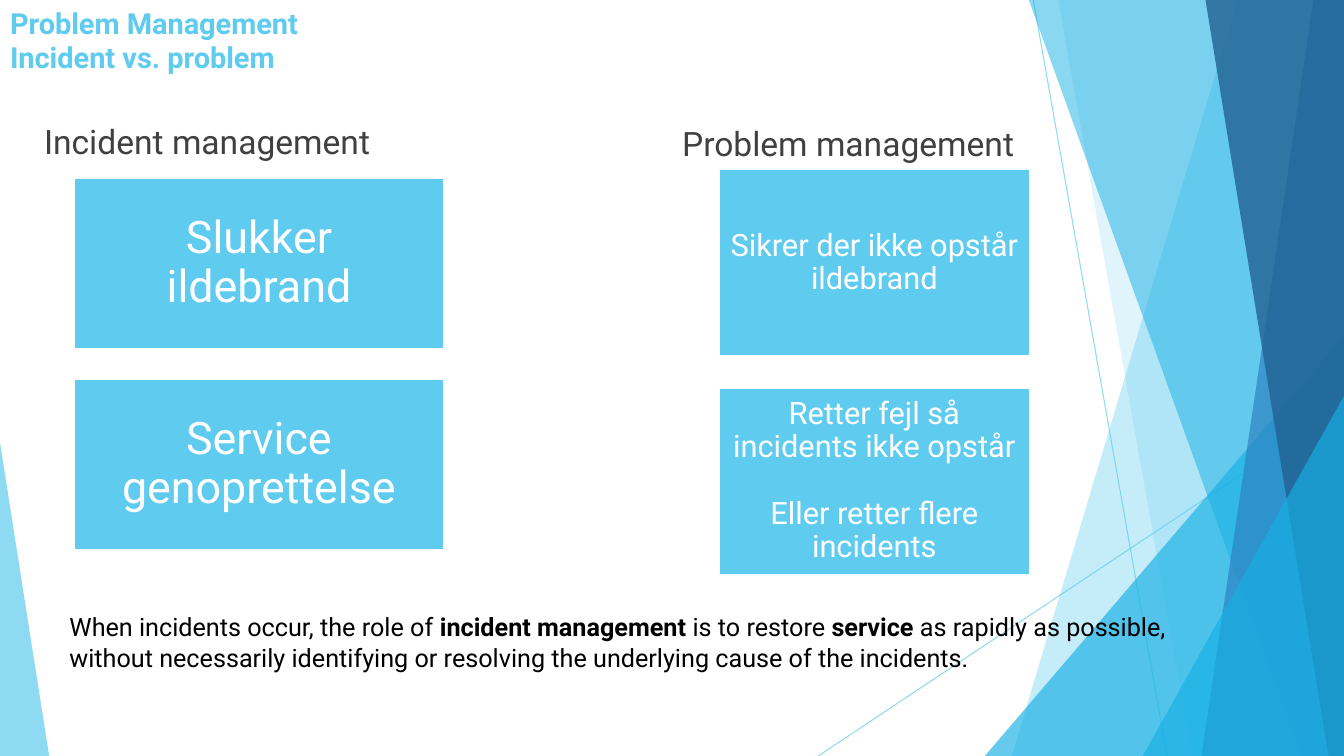
import pptx
import pptx.util
import pptx.dml.color
import pptx.enum.shapes
import pptx.enum.text
import pptx.oxml
import pptx.oxml.ns

Cm = pptx.util.Cm
Pt = pptx.util.Pt
Anchor = pptx.enum.text.MSO_ANCHOR
Align = pptx.enum.text.PP_ALIGN
FONT = "Roboto"
SKY = "5FCBEF"
CYAN = "17B0E4"
WIDTH, HEIGHT = 33.87, 19.05


def paint(fill, colour):
    fill.solid()
    fill.fore_color.rgb = pptx.dml.color.RGBColor.from_string(colour)


def fade(shape, percent):
    for colour in shape._element.spPr.iter(pptx.oxml.ns.qn("a:srgbClr")):
        alpha = pptx.oxml.parse_xml(f'<a:alpha {pptx.oxml.ns.nsdecls("a")} val="{percent * 1000}"/>')
        colour.append(alpha)


deck = pptx.Presentation()
deck.slide_width = Cm(WIDTH)
deck.slide_height = Cm(HEIGHT)
page = deck.slides.add_slide(deck.slide_layouts[5])
shapes = page.shapes

rays = [
    (26.04, 0, 29.41, HEIGHT),
    (WIDTH, 10.24, 20.62, HEIGHT),
]
for ray in rays:
    line = shapes.add_connector(pptx.enum.shapes.MSO_CONNECTOR.STRAIGHT, *map(Cm, ray))
    paint(line.line.fill, SKY)
    line.line.width = Pt(0.75)
    fade(line, 70)
    line._element.spPr.append(pptx.oxml.parse_xml(f'<a:effectLst {pptx.oxml.ns.nsdecls("a")}/>'))

facets = [
    ("band", 31.19, 25.5, SKY, 36),
    ("band", 26.67, 30.05, SKY, 20),
    ("triangle", (24.82, 8.46, 9.05, 10.59), 1, CYAN, 66),
    ("band", 25.93, 32.79, CYAN, 50),
    ("band", 33.1, 30.28, "2E83C3", 70),
    ("band", 30.38, 33.48, "226292", 80),
    ("triangle", (28.8, 9.98, 5.07, 9.07), 1, CYAN, 66),
    ("triangle", (0, 11.15, 1.24, 7.9), 0, SKY, 70),
]
for kind, first, second, colour, opacity in facets:
    if kind == "band":
        builder = shapes.build_freeform(Cm(first), 0)
        corners = [(WIDTH, 0), (WIDTH, HEIGHT), (second, HEIGHT)]
        builder.add_line_segments([(Cm(x), Cm(y)) for x, y in corners], close=True)
        facet = builder.convert_to_shape()
    else:
        facet = shapes.add_shape(pptx.enum.shapes.MSO_SHAPE.ISOSCELES_TRIANGLE, *map(Cm, first))
        facet.adjustments[0] = second
    facet.shadow.inherit = False
    facet.line.fill.background()
    paint(facet.fill, colour)
    fade(facet, opacity)

title = shapes.title
title.left, title.top, title.width, title.height = Cm(0), Cm(0), Cm(27.94), Cm(1.42)
frame = title.text_frame
frame.text = "Problem Management\vIncident vs. problem"
frame.auto_size = pptx.enum.text.MSO_AUTO_SIZE.NONE
frame.vertical_anchor = Anchor.TOP
para = frame.paragraphs[0]
para.alignment = Align.LEFT
para.font.name = FONT
para.font.size = Pt(20.7)
para.font.bold = True
paint(para.font.fill, SKY)

headings = [
    ("Incident management", 0.86, 3.02),
    ("Problem management", 16.94, 3.07),
]
for text, left, top in headings:
    box = shapes.add_textbox(Cm(left), Cm(top), Cm(14.35), Cm(1.17))
    frame = box.text_frame
    frame.word_wrap = True
    frame.vertical_anchor = Anchor.BOTTOM
    para = frame.paragraphs[0]
    para.text = text
    para.font.name = FONT
    para.font.size = Pt(24)
    paint(para.font.fill, "404040")

columns = [
    (1.87, 4.48, 9.32, 4.32, 5.06, 32, 0.43,
     [["Slukker ildebrand"], ["Service genoprettelse"]]),
    (18.11, 4.27, 7.85, 4.71, 5.5, 22, 0.23,
     [["Sikrer der ikke opstår ildebrand"],
      ["Retter fejl så incidents ikke opstår", "Eller retter flere incidents"]]),
]
for left, top, width, height, pitch, size, margin, cards in columns:
    for row, texts in enumerate(cards):
        card = shapes.add_shape(pptx.enum.shapes.MSO_SHAPE.RECTANGLE,
                                Cm(left), Cm(top + row * pitch), Cm(width), Cm(height))
        card.shadow.inherit = False
        paint(card.fill, SKY)
        paint(card.line.fill, "FFFFFF")
        card.line.width = Pt(1.5)
        frame = card.text_frame
        frame.word_wrap = True
        frame.vertical_anchor = Anchor.MIDDLE
        frame.margin_left = frame.margin_right = Cm(margin)
        frame.margin_top = frame.margin_bottom = Cm(margin)
        frame.text = "\n".join(texts)
        for index, para in enumerate(frame.paragraphs):
            para.alignment = Align.CENTER
            para.line_spacing = 0.9
            para.space_before = Pt(24 if index else 0)
            para.font.name = FONT
            para.font.size = Pt(size)
            paint(para.font.fill, "FFFFFF")

box = shapes.add_textbox(Cm(1.5), Cm(15.29), Cm(28.8), Cm(1.8))
box.text_frame.word_wrap = True
para = box.text_frame.paragraphs[0]
para.font.name = FONT
para.font.size = Pt(18)
paint(para.font.fill, "000000")
summary = [
    ("When incidents occur, the role of ", False),
    ("incident management ", True),
    ("is to restore ", False),
    ("service", True),
    (" as rapidly as possible, without necessarily identifying or resolving "
     "the underlying cause of the incidents.", False),
]
for text, bold in summary:
    span = para.add_run()
    span.text = text
    span.font.bold = bold

deck.save("out.pptx")
